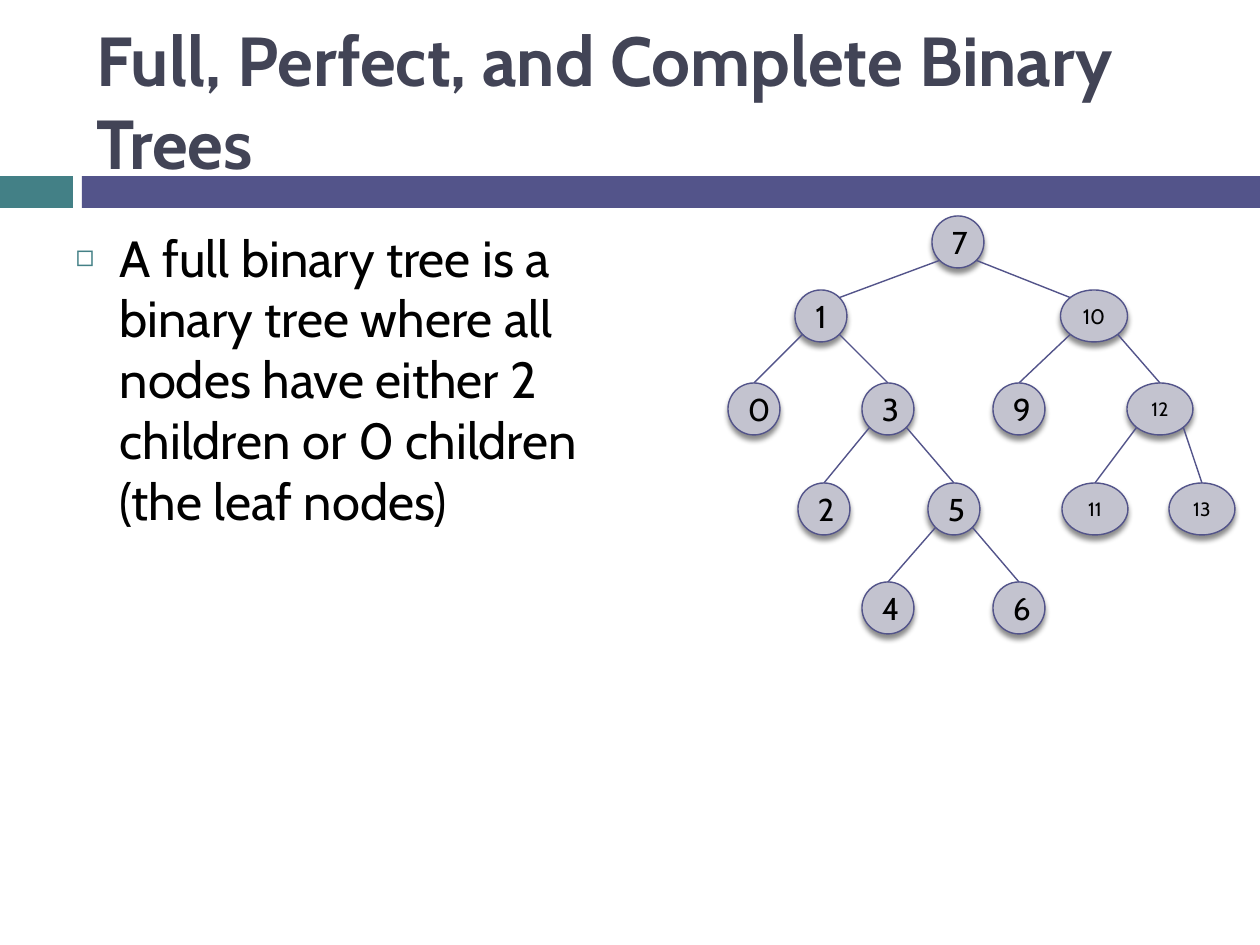
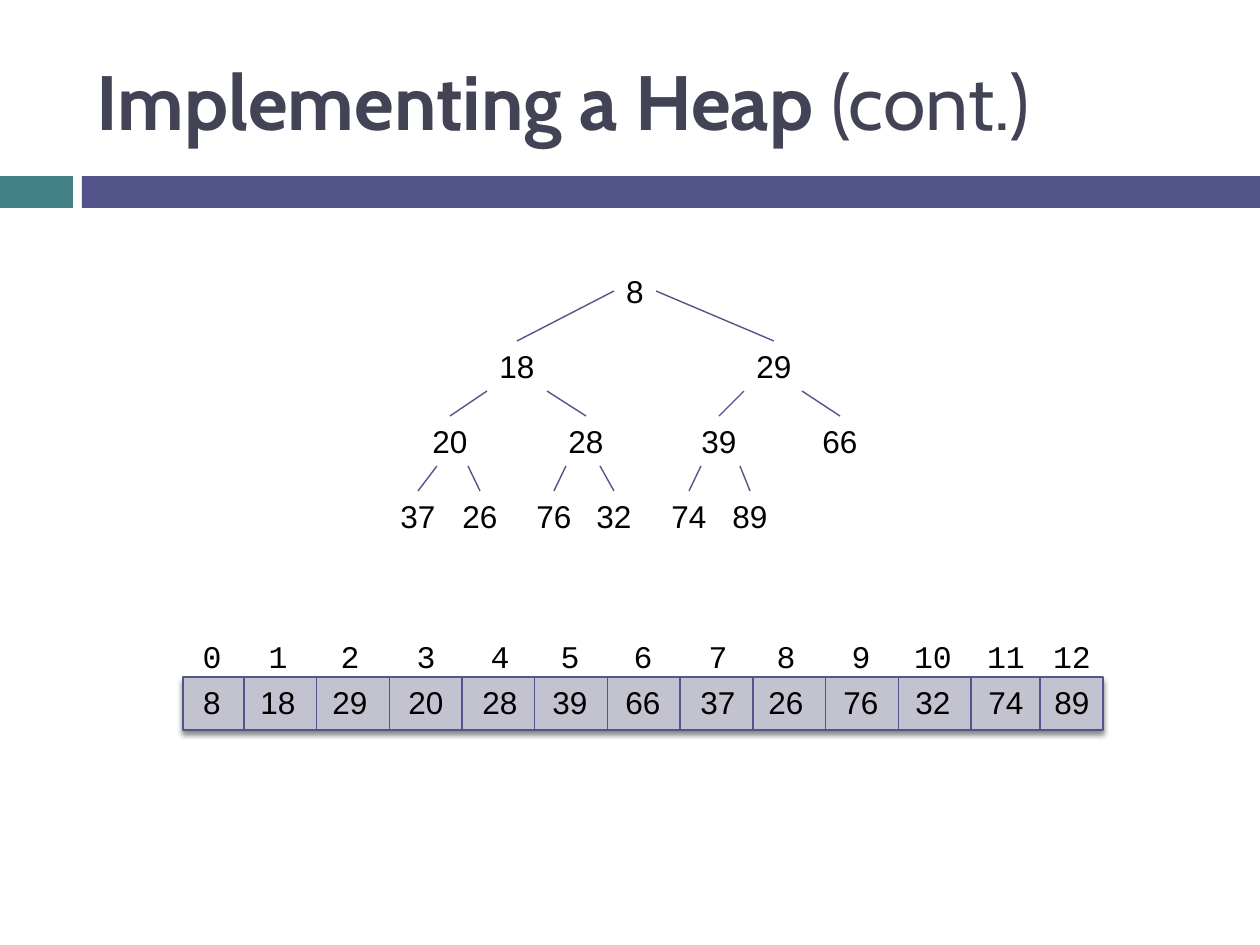
from math import sqrt
from lxml import etree
from pptx import Presentation
from pptx import util as u
from pptx.dml.color import RGBColor
from pptx.enum import shapes, text
from pptx.oxml import ns

PX = u.Inches(1) / 126
HEADING_FONT, NUMBER_FONT, INDEX_FONT = "Cabin", "Arial", "Courier New"
INK, TITLE, INDIGO, TEAL, GRAY = "000000", "424456", "53548A", "438086", "C3C3CF"
LINE_WIDTH = 0.79

BANDS = [((0, 176, 73, 32), TEAL), ((82, 176, 1178, 32), INDIGO)]
TITLE_BOX = (84, 32, 1124, 136)
BODY_BOX = (63, 220, 577, 624)

# title runs: (text, bold)
FULL_TITLE = [("Full, Perfect, and Complete Binary Trees", True)]
HEAP_TITLE = [("Implementing a Heap ", True), ("(cont.)", False)]
FULL_DEFINITION = ("A full binary tree is a binary tree where all nodes have "
                   "either 2 children or 0 children (the leaf nodes)")

# value: (centre x, level, width, text size)
NODE_HEIGHT = 52
LEVEL_TOPS = [216, 290, 383, 483, 582]
FULL_TREE = {
    7: (958, 0, 52, 18),
    1: (821, 1, 52, 18), 10: (1094, 1, 67, 12),
    0: (754, 2, 52, 18), 3: (888, 2, 52, 18),
    9: (1019, 2, 52, 18), 12: (1160, 2, 66, 11),
    2: (824, 3, 52, 18), 5: (954, 3, 52, 18),
    11: (1095, 3, 66, 11), 13: (1202, 3, 66, 11),
    4: (888, 4, 52, 18), 6: (1019, 4, 52, 18),
}
CHILDREN = {7: (1, 10), 1: (0, 3), 10: (9, 12), 3: (2, 5), 12: (11, 13), 5: (4, 6)}
ROOT = 7

# heap in array order: (value, centre x, where the edges to its children start)
HEAP = [
    (8, 635, (-21, 21)),
    (18, 517, (-30, 30)), (29, 774, (-30, 28)),
    (20, 450, (-13, 18)), (28, 586, (-20, 14)), (39, 719, (-18, 21)), (66, 840, ()),
    (37, 418, ()), (26, 480, ()), (76, 554, ()), (32, 614, ()), (74, 689, ()), (89, 750, ()),
]
HEAP_TOP, HEAP_STEP = 266, 75
LABEL_WIDTH, LABEL_HEIGHT = 60, 50

ARRAY_BOX = (183, 677, 920, 53)
INDEX_TOP = 631
COLUMN_CENTRES = [212, 278, 350, 426, 500, 570, 643, 718, 786, 861, 933, 1006, 1072]
DIVIDERS = [244 + 72.7 * column for column in range(11)] + [1040]


def emu(*lengths):
    return [round(length * PX) for length in lengths]


def color(hex_code):
    return RGBColor.from_string(hex_code)


def add_run(paragraph, words, size, font, ink=INK, bold=False):
    run = paragraph.add_run()
    run.text = words
    run.font.size = u.Pt(size)
    run.font.name = font
    run.font.bold = bold
    run.font.color.rgb = color(ink)


def outline(part):
    part.line.color.rgb = color(INDIGO)
    part.line.width = u.Pt(LINE_WIDTH)


def add_edge(slide, start, end):
    edge = slide.shapes.add_connector(shapes.MSO_CONNECTOR.STRAIGHT, *emu(*start, *end))
    outline(edge)
    etree.SubElement(edge.element.spPr, ns.qn("a:effectLst"))


def add_filled(slide, kind, box, fill):
    part = slide.shapes.add_shape(kind, *emu(*box))
    part.fill.solid()
    part.fill.fore_color.rgb = color(fill)
    part.line.fill.background()
    part.shadow.inherit = False
    return part


def add_raised(slide, kind, box):
    """Add a gray outlined shape with a soft shadow below it."""
    part = add_filled(slide, kind, box, GRAY)
    outline(part)
    effects = part.element.spPr.find(ns.qn("a:effectLst"))
    shadow = etree.SubElement(effects, ns.qn("a:outerShdw"), blurRad=str(u.Pt(3)),
                              dist=str(u.Pt(2.4)), dir="5400000", rotWithShape="0")
    ink = etree.SubElement(shadow, ns.qn("a:srgbClr"), val=INK)
    etree.SubElement(ink, ns.qn("a:alpha"), val="45000")
    return part


def add_label(slide, words, centre, top, font=NUMBER_FONT):
    box = (centre - LABEL_WIDTH / 2, top, LABEL_WIDTH, LABEL_HEIGHT)
    frame = slide.shapes.add_textbox(*emu(*box)).text_frame
    frame.word_wrap = False
    frame.margin_left = frame.margin_right = 0
    paragraph = frame.paragraphs[0]
    paragraph.alignment = text.PP_ALIGN.CENTER
    add_run(paragraph, words, 18, font)


def place(holder, box, anchor):
    """Move a placeholder and return its first paragraph."""
    holder.left, holder.top, holder.width, holder.height = emu(*box)
    frame = holder.text_frame
    frame.word_wrap = True
    frame.auto_size = text.MSO_AUTO_SIZE.NONE
    frame.vertical_anchor = anchor
    paragraph = frame.paragraphs[0]
    paragraph.alignment = text.PP_ALIGN.LEFT
    return paragraph


def set_title(slide, runs, size):
    paragraph = place(slide.shapes.title, TITLE_BOX, text.MSO_ANCHOR.MIDDLE)
    for words, bold in runs:
        add_run(paragraph, words, size, HEADING_FONT, TITLE, bold)


def set_bullet(slide, words):
    paragraph = place(slide.placeholders[1], BODY_BOX, text.MSO_ANCHOR.TOP)
    paragraph.space_before = u.Pt(7)
    add_run(paragraph, words, 29, HEADING_FONT)
    props = paragraph._p.get_or_add_pPr()
    hang = u.Inches(0.35)
    props.set("marL", str(hang))
    props.set("indent", str(-hang))
    bullet_color = etree.SubElement(props, ns.qn("a:buClr"))
    etree.SubElement(bullet_color, ns.qn("a:srgbClr"), val=TEAL)
    etree.SubElement(props, ns.qn("a:buSzPct"), val="60000")
    etree.SubElement(props, ns.qn("a:buFont"), typeface=NUMBER_FONT)
    etree.SubElement(props, ns.qn("a:buChar"), char="◻")


def rim_point(value, across, down):
    """Point on a node's rim; a diagonal direction gives its 45 degree point."""
    centre, level, width, _ = FULL_TREE[value]
    reach = 1 / sqrt(across ** 2 + down ** 2)
    return (centre + across * reach * width / 2,
            LEVEL_TOPS[level] + (1 + down * reach) * NODE_HEIGHT / 2)


def draw_full_tree(slide):
    for value, (centre, level, width, size) in FULL_TREE.items():
        box = (centre - width / 2, LEVEL_TOPS[level], width, NODE_HEIGHT)
        node = add_raised(slide, shapes.MSO_SHAPE.OVAL, box)
        node.text_frame.word_wrap = value < 10
        paragraph = node.text_frame.paragraphs[0]
        paragraph.alignment = text.PP_ALIGN.CENTER
        add_run(paragraph, str(value), size, HEADING_FONT)
    for parent, pair in CHILDREN.items():
        for side, child in zip((-1, 1), pair):
            across = -side if parent == ROOT else 0
            add_edge(slide, rim_point(parent, side, 1), rim_point(child, across, -1))


def draw_heap_tree(slide):
    for position, (value, centre, starts) in enumerate(HEAP):
        level = (position + 1).bit_length() - 1
        top = HEAP_TOP + HEAP_STEP * level
        add_label(slide, str(value), centre, top)
        start_y = top + (LABEL_HEIGHT if level else LABEL_HEIGHT / 2)
        for child, offset in enumerate(starts, 2 * position + 1):
            add_edge(slide, (centre + offset, start_y), (HEAP[child][1], top + HEAP_STEP))


def draw_heap_array(slide):
    add_raised(slide, shapes.MSO_SHAPE.RECTANGLE, ARRAY_BOX)
    _, top, _, height = ARRAY_BOX
    for x in DIVIDERS:
        add_edge(slide, (x, top), (x, top + height))
    for index, (centre, entry) in enumerate(zip(COLUMN_CENTRES, HEAP)):
        add_label(slide, str(index), centre, INDEX_TOP, INDEX_FONT)
        add_label(slide, str(entry[0]), centre, top)


def main():
    deck = Presentation()
    deck.slide_width, deck.slide_height = u.Inches(10), u.Inches(7.5)
    full = deck.slides.add_slide(deck.slide_layouts[1])
    heap = deck.slides.add_slide(deck.slide_layouts[5])

    # The bands belong to the master, so every slide shows them.
    for box, fill in BANDS:
        band = add_filled(full, shapes.MSO_SHAPE.RECTANGLE, box, fill)
        deck.slide_master.shapes.element.insert(2, band.element)

    set_title(full, FULL_TITLE, 39.6)
    set_bullet(full, FULL_DEFINITION)
    draw_full_tree(full)

    set_title(heap, HEAP_TITLE, 44)
    draw_heap_array(heap)
    draw_heap_tree(heap)
    deck.save("out.pptx")


if __name__ == "__main__":
    main()
